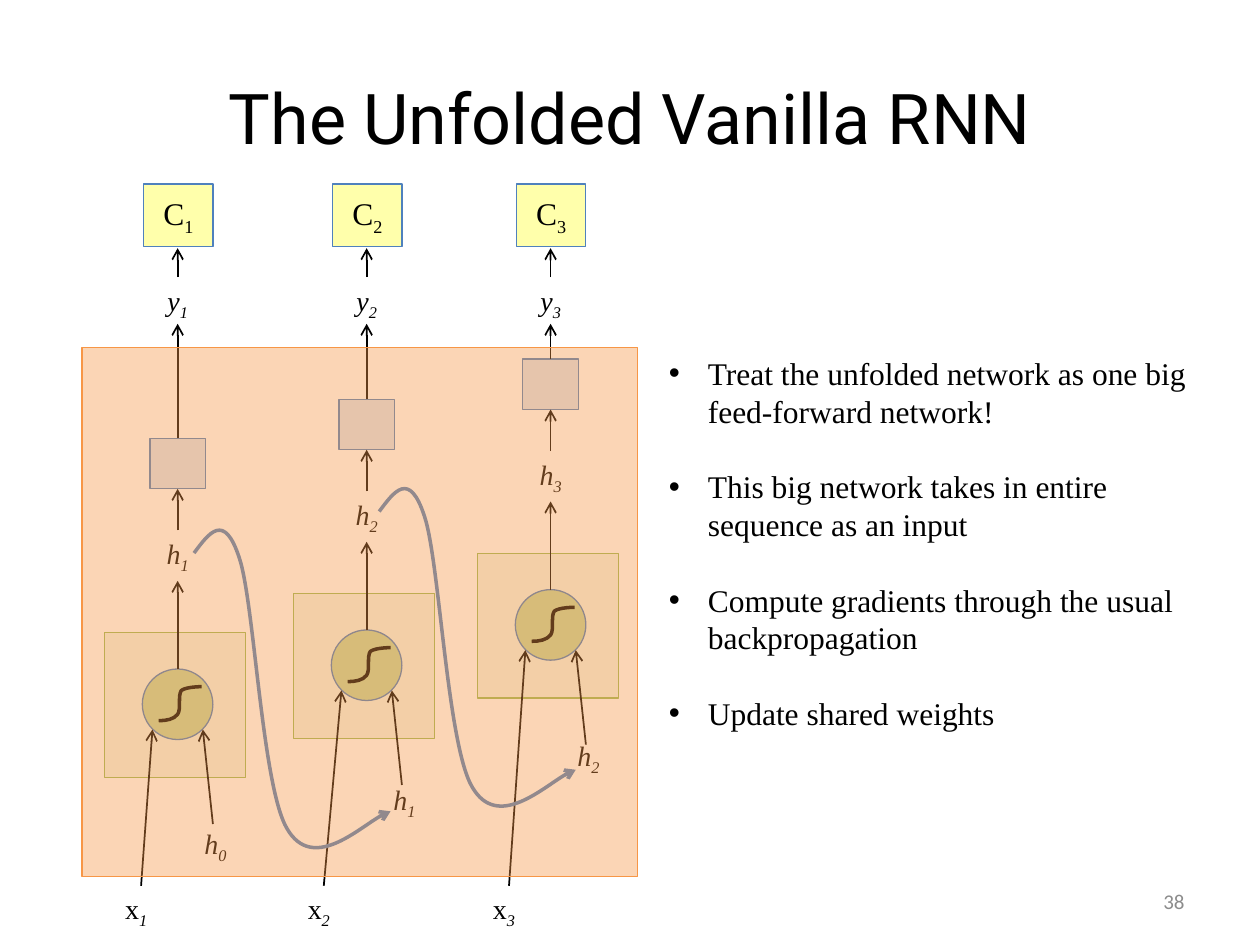
from dataclasses import dataclass

from lxml.etree import SubElement
from pptx import Presentation
from pptx.dml.color import RGBColor
from pptx.enum.shapes import MSO_CONNECTOR, MSO_SHAPE
from pptx.enum.text import MSO_ANCHOR, PP_ALIGN
from pptx.oxml.ns import qn
from pptx.util import Inches, Pt

BLACK = RGBColor(0x00, 0x00, 0x00)
GRAY = RGBColor(0x8C, 0x8C, 0x8C)
BLUE = RGBColor(0x4F, 0x81, 0xBD)
DEEP = RGBColor(0x4B, 0x7E, 0xBC)
SKY = RGBColor(0x95, 0xB3, 0xD7)
YELLOW = RGBColor(0xFF, 0xFF, 0x00)
PALE = RGBColor(0xD7, 0xE4, 0xBD)
LEAF = RGBColor(0xC3, 0xD6, 0x9B)
GREEN = RGBColor(0x9B, 0xBB, 0x59)
ORANGE = RGBColor(0xF7, 0x96, 0x46)
SERIF = "Times New Roman"

Point = tuple[float, float]


@dataclass
class Step:
    num: int
    mid: float
    rise: float
    foot: float
    past: float


STEPS = [
    Step(1, 1.41, 0, 1.12, 6.51),
    Step(2, 2.91, 0.31, 2.57, 6.16),
    Step(3, 4.37, 0.63, 4.04, 5.81),
]
GATE = [(0, 0.27), (0.06, 0.27), (0.12, 0.26), (0.15, 0.22), (0.18, 0.18),
        (0.15, 0.07), (0.18, 0.03), (0.22, 0), (0.34, 0), (0.34, 0)]
LOOP = [(0, 0), (0.12, -0.16), (0.24, -0.33), (0.36, 0.04), (0.48, 0.4),
        (0.54, 1.86), (0.74, 2.19), (0.94, 2.53), (1.43, 2.08), (1.56, 2.05)]
LOOPS = [(1.54, 4.39), (3.01, 4.06)]
NOTES = [
    "Treat the unfolded network as one big feed-forward network!",
    "This big network takes in entire sequence as an input",
    "Compute gradients through the usual backpropagation",
    "Update shared weights",
]

deck = Presentation()
deck.slide_width, deck.slide_height = Inches(10), Inches(7.5)
slide = deck.slides.add_slide(deck.slide_layouts[5])
shapes = slide.shapes


def style(font, size: float, color: RGBColor = BLACK, name: str = SERIF) -> None:
    font.name, font.size = name, Pt(size)
    font.color.rgb = color


def stroke(shape, color: RGBColor, width: float, head: bool = False) -> None:
    shape.line.color.rgb = color
    shape.line.width = Pt(width)
    if head:
        SubElement(shape._element.spPr.find(qn("a:ln")), qn("a:tailEnd"), type="arrow")


def block(kind: MSO_SHAPE, x: float, y: float, w: float, h: float,
          fill: RGBColor, edge: RGBColor, alpha: int = 100):
    shape = shapes.add_shape(kind, Inches(x), Inches(y), Inches(w), Inches(h))
    shape.shadow.inherit = False
    shape.fill.solid()
    shape.fill.fore_color.rgb = fill
    if alpha < 100:
        color = shape._element.spPr.find(qn("a:solidFill"))[0]
        SubElement(color, qn("a:alpha"), val=str(alpha * 1000))
    stroke(shape, edge, 0.75)
    return shape


def arrow(start: Point, end: Point) -> None:
    ends = [Inches(v) for v in (*start, *end)]
    link = shapes.add_connector(MSO_CONNECTOR.STRAIGHT, *ends)
    stroke(link, BLACK, 1, head=True)
    SubElement(link._element.spPr, qn("a:effectLst"))


def curve(points: list[Point], x: float, y: float, color: RGBColor, head: bool) -> None:
    spots = [(Inches(x + dx), Inches(y + dy)) for dx, dy in points]
    form = shapes.build_freeform(*spots[0])
    form.add_line_segments(spots[1:], close=False)
    shape = form.convert_to_shape()
    shape.shadow.inherit = False
    shape.fill.background()
    stroke(shape, color, 2, head)
    lines = list(shape._element.iter(qn("a:lnTo")))
    for i in range(0, len(lines), 3):
        bend = SubElement(lines[i].getparent(), qn("a:cubicBezTo"))
        for line in lines[i:i + 3]:
            bend.append(line[0])
            line.getparent().remove(line)


def symbol(frame, base: str, num: int, size: float,
           slant: tuple[bool, bool] = (True, True)) -> None:
    para = frame.paragraphs[0]
    para.alignment = PP_ALIGN.CENTER
    style(para.font, size)
    for text, lean in zip((base, str(num)), slant):
        run = para.add_run()
        run.text = text
        run.font.italic = lean
    run._r.get_or_add_rPr().set("baseline", "-25000")


def text_box(x: float, y: float, w: float, h: float):
    frame = shapes.add_textbox(Inches(x), Inches(y), Inches(w), Inches(h)).text_frame
    frame.word_wrap = True
    return frame


def label(base: str, num: int, mid: float, top: float, lean: bool = True) -> None:
    symbol(text_box(mid - 0.29, top, 0.58, 0.37), base, num, 16, (lean, True))


def draw(step: Step) -> None:
    mid, up = step.mid, step.rise
    block(MSO_SHAPE.RECTANGLE, mid - 0.58, 5.02 - up, 1.12, 1.15, PALE, GREEN, 33)
    block(MSO_SHAPE.OVAL, mid - 0.28, 5.31 - up, 0.56, 0.56, LEAF, DEEP)
    curve(GATE, mid - 0.15, 5.45 - up, BLACK, False)
    arrow((mid, 5.31 - up), (mid, 4.61 - up))
    arrow((step.foot, 7.03), (mid - 0.2, 5.79 - up))
    arrow((mid + 0.28, 6.54 - up), (mid + 0.2, 5.79 - up))
    label("h", step.num, mid, 4.21 - up)
    label("h", step.num - 1, mid + 0.3, step.past)
    label("x", step.num, step.foot - 0.04, 7.03, False)
    block(MSO_SHAPE.RECTANGLE, mid - 0.22, 3.48 - up, 0.44, 0.4, SKY, BLUE, 33)
    arrow((mid, 4.21 - up), (mid, 3.88 - up))
    arrow((mid, 3.48 - up), (mid, 2.57))
    label("y", step.num, mid, 2.2)
    arrow((mid, 2.2), (mid, 1.97))
    cost = block(MSO_SHAPE.RECTANGLE, mid - 0.27, 1.46, 0.55, 0.5, YELLOW, BLUE, 33)
    cost.text_frame.vertical_anchor = MSO_ANCHOR.MIDDLE
    symbol(cost.text_frame, "C", step.num, 18, (False, False))


def notes() -> None:
    frame = text_box(5.21, 2.76, 4.35, 3.13)
    for i, text in enumerate(NOTES):
        para = frame.add_paragraph() if i else frame.paragraphs[0]
        para.text = text
        if i:
            para.space_before = Pt(21.6)
        props = para._p.get_or_add_pPr()
        props.set("marL", str(Inches(0.31)))
        props.set("indent", str(Inches(-0.31)))
        SubElement(props, qn("a:buFont"), typeface="Arial")
        SubElement(props, qn("a:buChar"), char="•")
        style(para.font, 18)


title = shapes.title
title.left, title.top = Inches(0.5), Inches(0.3)
title.width, title.height = Inches(9), Inches(1.25)
title.text_frame.text = "The Unfolded Vanilla RNN"
title.text_frame.vertical_anchor = MSO_ANCHOR.MIDDLE
head = title.text_frame.paragraphs[0]
head.alignment = PP_ALIGN.CENTER
style(head.font, 40, name="Roboto")

page = text_box(7.17, 6.95, 2.33, 0.4)
page.vertical_anchor = MSO_ANCHOR.MIDDLE
page.text = "38"
page.paragraphs[0].alignment = PP_ALIGN.RIGHT
style(page.paragraphs[0].font, 12, GRAY, "Calibri")

for step in STEPS:
    draw(step)
for x, y in LOOPS:
    curve(LOOP, x, y, BLUE, True)
block(MSO_SHAPE.RECTANGLE, 0.65, 2.76, 4.41, 4.2, ORANGE, ORANGE, 40)
notes()

deck.save("out.pptx")
